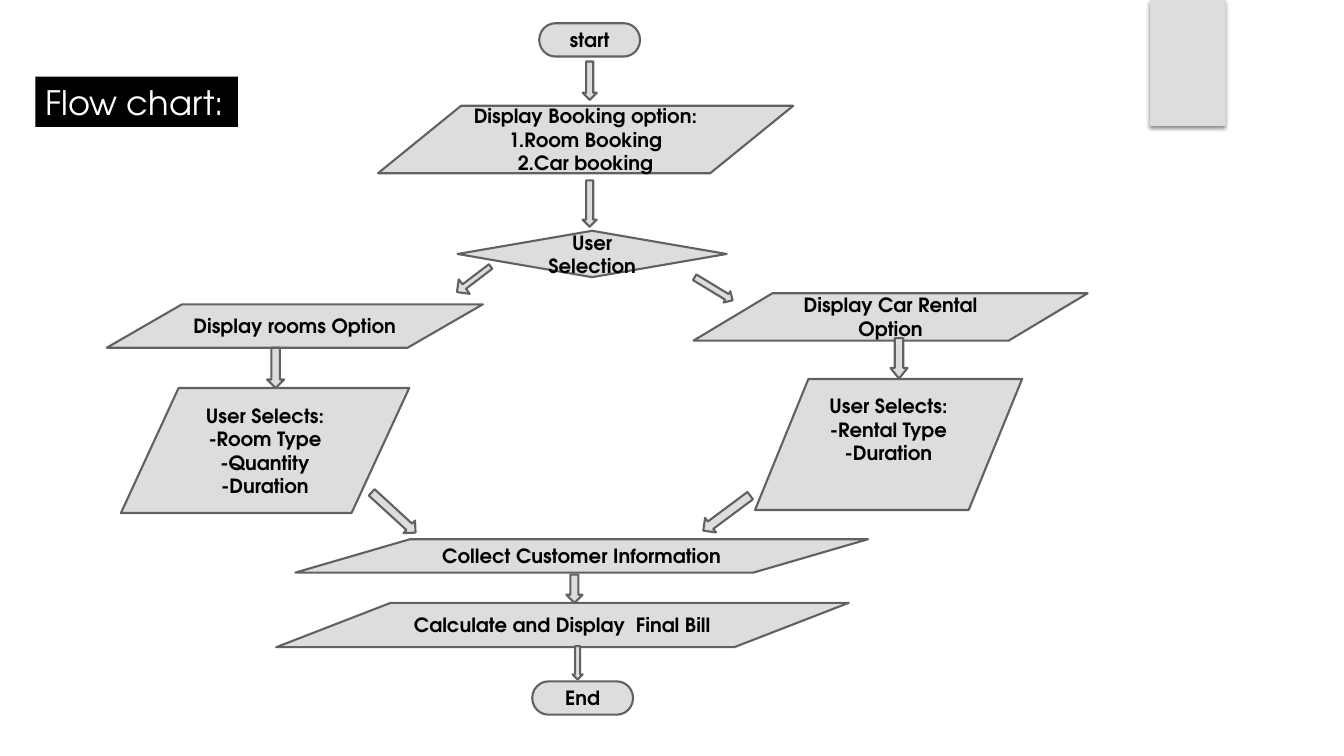
from lxml import etree
from pptx import Presentation
from pptx.dml.color import RGBColor
from pptx.enum.shapes import MSO_SHAPE
from pptx.enum.text import MSO_ANCHOR, MSO_AUTO_SIZE, PP_ALIGN
from pptx.oxml.ns import qn
from pptx.util import Pt

TERMINAL = MSO_SHAPE.FLOWCHART_TERMINATOR
DATA = MSO_SHAPE.FLOWCHART_DATA
DECISION = MSO_SHAPE.DIAMOND
RECTANGLE = MSO_SHAPE.RECTANGLE
DOWN = MSO_SHAPE.DOWN_ARROW
RIGHT = MSO_SHAPE.RIGHT_ARROW
CENTER, LEFT = PP_ALIGN.CENTER, PP_ALIGN.LEFT
MIDDLE, TOP = MSO_ANCHOR.MIDDLE, MSO_ANCHOR.TOP
NO_AUTOFIT = MSO_AUTO_SIZE.NONE

FONT = "TeX Gyre Adventor"
GREY, OUTLINE, BLACK, WHITE = "DDDDDD", "616161", "000000", "FFFFFF"

STEPS = [
    (TERMINAL, 385.2, 16.6, 72, 23.8, ["start"]),
    (DATA, 270, 75.6, 296.6, 48.2,
     ["Display Booking option:", "1.Room Booking", "2.Car booking"]),
    (DECISION, 326.9, 164.9, 192.2, 33.1, ["User Selection"]),
    (DATA, 76.3, 217.4, 268.6, 31, ["Display rooms Option"]),
    (DATA, 495.4, 209.5, 281.5, 33.8, ["Display Car Rental Option"]),
    (DATA, 86.4, 277.2, 205.9, 89.3,
     ["User Selects:", "-Room Type", "-Quantity", "-Duration"]),
    (DATA, 211, 385.2, 409, 23.8, ["Collect Customer Information"]),
    (DATA, 197.3, 430.6, 409, 31.7, ["Calculate and Display  Final Bill"]),
    (TERMINAL, 380.2, 486.7, 72, 23.8, ["End"]),
]
RENTAL_STEP = (DATA, 539.3, 270.7, 190.8, 93.6,
               ["User Selects:", "-Rental Type", "-Duration"])

DOWN_ARROWS = [
    (416.2, 43.9, 10.1, 27.4),
    (416.2, 128.9, 10.1, 33.1),
    (190.8, 248.4, 12.2, 28.8),
    (404.6, 410.4, 11.5, 20.2),
    (409, 461.5, 7.2, 23.8),
]
SLANTED_ARROWS = [
    (493.9, 201.6, 31.7, 9.4, 31.3),
    (498.2, 360, 41.8, 13, 143.3),
    (259.9, 360, 42.5, 12.2, 42.5),
]


def color(code):
    return RGBColor.from_string(code)


def fill_with(shape, code):
    shape.fill.solid()
    shape.fill.fore_color.rgb = color(code)


def add_block(page, kind, left, top, width, height):
    shape = page.shapes.add_shape(kind, Pt(left), Pt(top), Pt(width), Pt(height))
    shape.shadow.inherit = False
    fill_with(shape, GREY)
    shape.line.color.rgb = color(OUTLINE)
    shape.line.width = Pt(1.5)
    return shape


def write_line(para, text, size, code, bold, align):
    para.text = text
    para.alignment = align
    para.font.name = FONT
    para.font.size = Pt(size)
    para.font.bold = bold
    para.font.color.rgb = color(code)


def add_step(page, kind, left, top, width, height, lines, bottom_margin=3.6):
    frame = add_block(page, kind, left, top, width, height).text_frame
    frame.word_wrap = True
    frame.vertical_anchor = MIDDLE
    frame.margin_bottom = Pt(bottom_margin)
    for index, line in enumerate(lines):
        para = frame.add_paragraph() if index else frame.paragraphs[0]
        write_line(para, line, 14, BLACK, True, CENTER)


def add_arrow(page, kind, left, top, width, height, angle=0, shaft=0.5, head=0.5):
    arrow = add_block(page, kind, left, top, width, height)
    arrow.rotation = angle
    arrow.adjustments[0] = shaft
    arrow.adjustments[1] = head


def add_ribbon(page):
    ribbon = add_block(page, RECTANGLE, 821.5, 0, 54, 90)
    ribbon.line.fill.background()
    effects = ribbon._element.spPr.find(qn("a:effectLst"))
    shadow = etree.SubElement(effects, qn("a:outerShdw"), blurRad=str(Pt(3)),
                              dist=str(Pt(2)), dir="5400000", rotWithShape="0")
    shade = etree.SubElement(shadow, qn("a:srgbClr"), val=BLACK)
    etree.SubElement(shade, qn("a:alpha"), val="45000")


def set_title(page, text):
    title = page.shapes.title
    title.left, title.top = Pt(25.2), Pt(54.7)
    title.width, title.height = Pt(144.7), Pt(36)
    fill_with(title, BLACK)
    frame = title.text_frame
    frame.word_wrap = True
    frame.auto_size = NO_AUTOFIT
    frame.vertical_anchor = TOP
    frame.margin_right = 0
    write_line(frame.paragraphs[0], text, 24, WHITE, False, LEFT)


def main():
    deck = Presentation()
    deck.slide_width, deck.slide_height = Pt(960), Pt(540)
    page = deck.slides.add_slide(deck.slide_layouts[5])
    add_ribbon(page)
    set_title(page, "Flow chart:")
    for step in STEPS:
        add_step(page, *step)
    add_step(page, *RENTAL_STEP, bottom_margin=25)
    for arrow in DOWN_ARROWS:
        add_arrow(page, DOWN, *arrow)
    add_arrow(page, DOWN, 636.1, 241.6, 12.2, 28.8, head=0.62)
    for arrow in SLANTED_ARROWS:
        add_arrow(page, RIGHT, *arrow)
    add_arrow(page, RIGHT, 323.3, 193, 30.2, 13, angle=142.7, shaft=0.31)
    deck.save("out.pptx")


if __name__ == "__main__":
    main()
